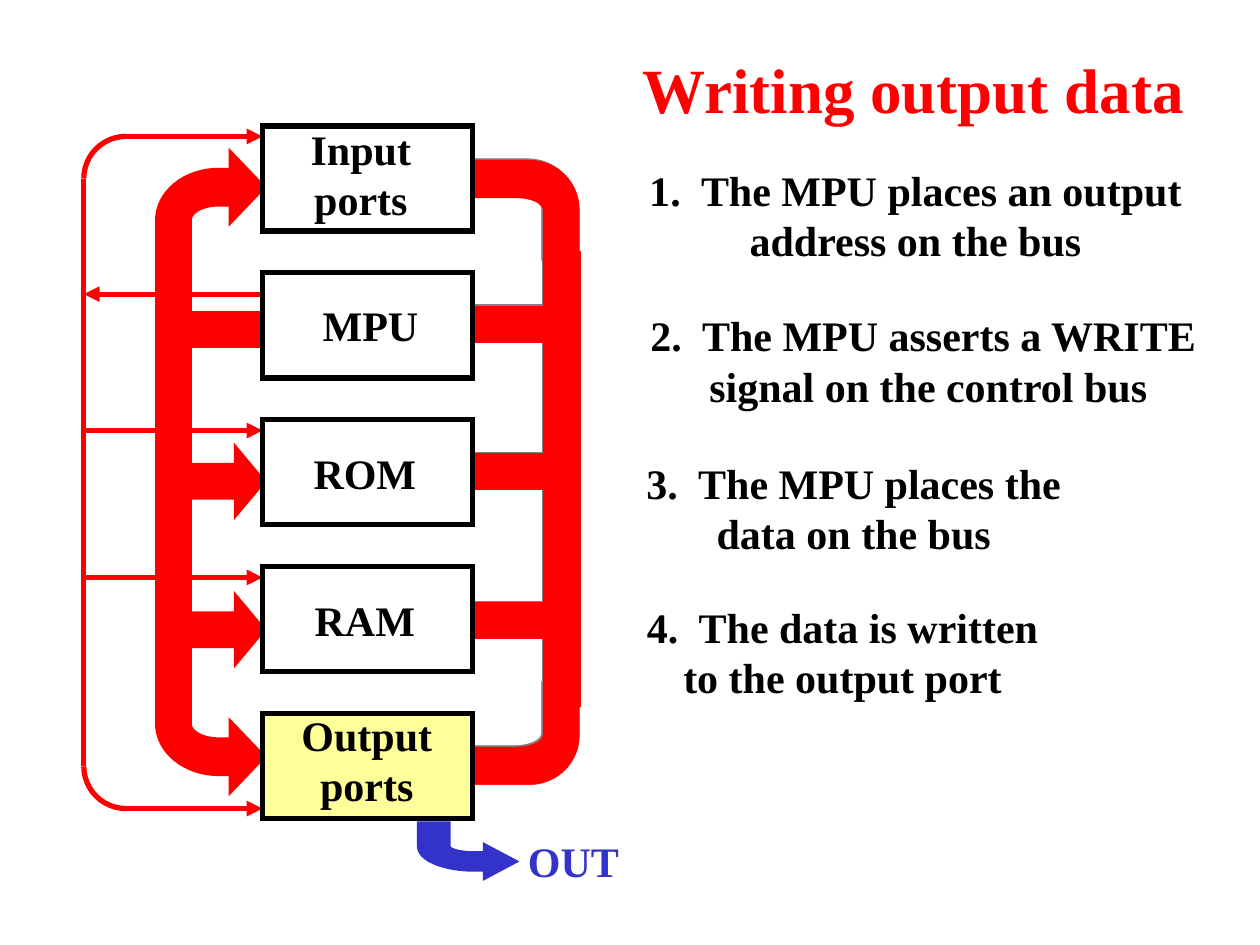
from dataclasses import dataclass
from math import cos, pi, sin

from lxml import etree
from pptx import Presentation
from pptx.dml.color import RGBColor
from pptx.enum.shapes import MSO_CONNECTOR, MSO_SHAPE
from pptx.enum.text import MSO_ANCHOR, MSO_AUTO_SIZE, PP_ALIGN
from pptx.oxml.ns import qn
from pptx.util import Cm, Pt

RECTANGLE, RIGHT_ARROW, ARC = MSO_SHAPE.RECTANGLE, MSO_SHAPE.RIGHT_ARROW, MSO_SHAPE.ARC
STRAIGHT = MSO_CONNECTOR.STRAIGHT
LEFT, CENTER = PP_ALIGN.LEFT, PP_ALIGN.CENTER
MIDDLE = MSO_ANCHOR.MIDDLE
GROW = MSO_AUTO_SIZE.SHAPE_TO_FIT_TEXT


@dataclass(frozen=True)
class Theme:
    font: str = "Times New Roman"
    title_size: int = 36
    text_size: int = 24
    line_width: float = 3
    hairline: float = 0.25
    active: RGBColor = RGBColor(0xFF, 0x00, 0x00)
    idle: RGBColor = RGBColor(0x80, 0x80, 0x80)
    ink: RGBColor = RGBColor(0x00, 0x00, 0x00)
    paper: RGBColor = RGBColor(0xFF, 0xFF, 0xFF)
    highlight: RGBColor = RGBColor(0xFF, 0xFF, 0x99)
    output: RGBColor = RGBColor(0x33, 0x33, 0xCC)


THEME = Theme()
PAGE_WIDTH, PAGE_HEIGHT = 25.4, 19.05
BLOCK_LEFT, BLOCK_TOP, BLOCK_WIDTH, BLOCK_HEIGHT, BLOCK_PITCH = 5.29, 2.54, 4.23, 2.12, 2.96
CONTROL_LEFT, CONTROL_TOP, CORNER = 1.69, 2.75, 0.85
DATA_LEFT = 3.18

# text, left, top, width
LABELS = [
    ("Input\nports", 5.87, 2.36, 2.81),
    ("MPU", 6.1, 5.92, 2.74),
    ("ROM", 5.92, 8.89, 2.87),
    ("RAM", 5.95, 11.86, 2.81),
    ("Output\nports", 5.67, 14.17, 3.45),
]
STEPS = [
    ("1.  The MPU places an output\naddress on the bus", 12.83, 3.18, 11.25),
    ("2.  The MPU asserts a WRITE \nsignal on the control bus", 12.85, 6.12, 11.73),
    ("3.  The MPU places the\ndata on the bus", 12.78, 9.09, 8.86),
    ("4.  The data is written\nto the output port", 12.78, 11.99, 8.41),
]


def style(shape, fill, line, width=THEME.line_width):
    shape.shadow.inherit = False
    if fill is None:
        shape.fill.background()
    else:
        shape.fill.solid()
        shape.fill.fore_color.rgb = fill
    shape.line.color.rgb = line
    shape.line.width = Pt(width)
    etree.SubElement(shape.line._get_or_add_ln(), qn("a:miter"), lim="800000")


def add_shape(page, kind, left, top, width, height, fill, line, adjustments=()):
    shape = page.shapes.add_shape(kind, Cm(left), Cm(top), Cm(width), Cm(height))
    for index, value in enumerate(adjustments):
        shape.adjustments[index] = value
    style(shape, fill, line)


def add_outline(page, points, color, width=THEME.line_width):
    corners = [(Cm(x), Cm(y)) for x, y in points]
    builder = page.shapes.build_freeform(*corners[0], scale=1.0)
    builder.add_line_segments(corners[1:], close=True)
    style(builder.convert_to_shape(), color, color, width)


def add_signal(page, x1, y1, x2, y2, arrow=True):
    line = page.shapes.add_connector(STRAIGHT, Cm(x1), Cm(y1), Cm(x2), Cm(y2))
    line.line.color.rgb = THEME.active
    line.line.width = Pt(THEME.line_width)
    if arrow:
        etree.SubElement(line.line._get_or_add_ln(), qn("a:tailEnd"), type="triangle")
    etree.SubElement(line._element.spPr, qn("a:effectLst"))


def add_text(page, text, left, top, width, size=THEME.text_size,
             color=THEME.ink, align=CENTER):
    line_count = text.count("\n") + 1
    height = 0.25 + line_count * size * 0.0425
    box = page.shapes.add_textbox(Cm(left), Cm(top), Cm(width), Cm(height))
    frame = box.text_frame
    frame.text = text
    frame.word_wrap = False
    frame.auto_size = GROW
    frame.vertical_anchor = MIDDLE
    for para in frame.paragraphs:
        para.alignment = align
        for span in para.runs:
            span.font.name = THEME.font
            span.font.size = Pt(size)
            span.font.bold = True
            span.font.color.rgb = color


def quarter(start, corner, end, steps=16):
    """Points of the quarter ellipse from start to end that bulges towards corner."""
    angles = [step * pi / 2 / steps for step in range(steps + 1)]
    return [tuple(c + (s - c) * (1 - sin(a)) + (e - c) * (1 - cos(a))
                  for s, c, e in zip(start, corner, end)) for a in angles]


def add_bent_arrow(page, left, foot, width, height, color):
    """Arrow from its foot, turning right; a negative height makes it go up."""
    outline = [
        (0, 0),
        *quarter((0, 0.43), (0, 0.86), (0.58, 0.86)),
        (0.7, 0.86), (0.7, 1), (1, 0.715), (0.7, 0.43), (0.7, 0.57),
        *quarter((0.58, 0.57), (0.3, 0.57), (0.3, 0.43)),
        (0.3, 0),
    ]
    add_outline(page, [(left + x * width, foot + y * height) for x, y in outline], color)


def add_control_bus(page):
    bottom = PAGE_HEIGHT - CONTROL_TOP
    size = 2 * CORNER
    # an arc adjustment is 0.6 per degree
    for top, start, end in ((CONTROL_TOP, 180, 270), (bottom - size, 90, 180)):
        add_shape(page, ARC, CONTROL_LEFT, top, size, size, None, THEME.active,
                  (start * 0.6, end * 0.6))
    for y in (CONTROL_TOP, bottom):
        add_signal(page, CONTROL_LEFT + CORNER, y, BLOCK_LEFT, y)
    add_signal(page, CONTROL_LEFT, CONTROL_TOP + CORNER, CONTROL_LEFT, bottom - CORNER, False)
    add_signal(page, BLOCK_LEFT, 5.93, CONTROL_LEFT, 5.93)
    for y in (8.68, 11.64):
        add_signal(page, CONTROL_LEFT, y, BLOCK_LEFT, y)


def add_data_bus(page):
    red = THEME.active
    add_shape(page, RECTANGLE, 3.61, 6.32, 1.69, 0.64, red, red)
    add_shape(page, RECTANGLE, DATA_LEFT, 5.08, 0.64, 9.53, red, red)
    for top in (9.07, 12.06):
        add_shape(page, RIGHT_ARROW, DATA_LEFT, top, 2.12, 1.27, red, red, (0.5, 0.417))
    add_bent_arrow(page, DATA_LEFT, 5.44, 2.12, -2.33, red)
    add_bent_arrow(page, DATA_LEFT, 13.59, 2.12, 2.33, red)


def add_address_bus(page, color, shift=0.0):
    add_shape(page, RECTANGLE, 11 + shift, 5.11 + shift, 0.66, 9.09, color, color)
    for top in (6.22, 9.19, 12.19):
        add_shape(page, RECTANGLE, 9.55 + shift, top + shift, 1.7, 0.64, color, color)
    elbow = [
        (9.37, 3.23),
        *quarter((10.67, 3.23), (11.68, 3.23), (11.68, 4.22)),
        (11.68, 5.28), (10.95, 5.28),
        *quarter((10.95, 4.24), (10.95, 3.99), (10.41, 3.99)),
        (9.37, 3.99),
    ]
    for points in (elbow, [(x, PAGE_HEIGHT - y) for x, y in elbow]):
        add_outline(page, [(x + shift, y + shift) for x, y in points], color, THEME.hairline)


def add_blocks(page):
    for index, (text, left, top, width) in enumerate(LABELS):
        fill = THEME.highlight if text.startswith("Output") else THEME.paper
        add_shape(page, RECTANGLE, BLOCK_LEFT, BLOCK_TOP + index * BLOCK_PITCH,
                  BLOCK_WIDTH, BLOCK_HEIGHT, fill, THEME.ink)
        add_text(page, text, left, top, width)


def main():
    deck = Presentation()
    deck.slide_width, deck.slide_height = Cm(PAGE_WIDTH), Cm(PAGE_HEIGHT)
    page = deck.slides.add_slide(deck.slide_layouts[6])
    add_address_bus(page, THEME.idle, shift=-0.03)
    add_data_bus(page)
    add_control_bus(page)
    add_address_bus(page, THEME.active)
    add_blocks(page)
    add_bent_arrow(page, 8.46, 16.61, 1.9, 1.06, THEME.output)
    add_text(page, "OUT", 10.29, 16.71, 2.54, color=THEME.output)
    add_text(page, "Writing output data", 12.7, 0.89, 11.43, THEME.title_size,
             THEME.active, LEFT)
    for step in STEPS:
        add_text(page, *step)
    deck.save("out.pptx")


if __name__ == "__main__":
    main()
